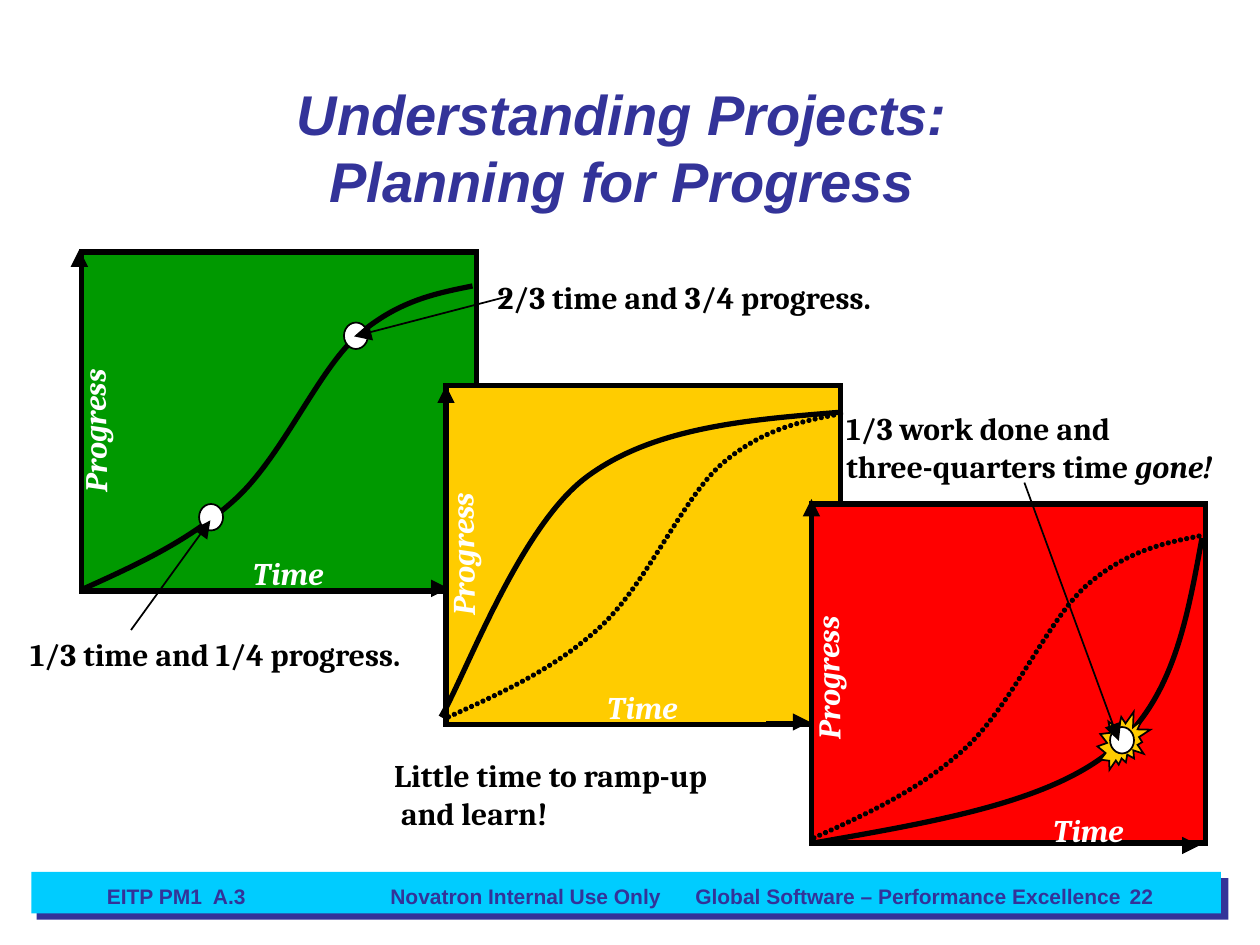
from dataclasses import dataclass

from lxml import etree
from pptx import Presentation
from pptx.dml.color import RGBColor
from pptx.enum.shapes import MSO_CONNECTOR, MSO_SHAPE
from pptx.enum.text import MSO_ANCHOR, MSO_AUTO_SIZE, PP_ALIGN
from pptx.oxml.ns import qn
from pptx.util import Pt

PX = 9144  # EMU per px, 100 px to the inch

BLACK = RGBColor(0x00, 0x00, 0x00)
WHITE = RGBColor(0xFF, 0xFF, 0xFF)
NAVY = RGBColor(0x33, 0x33, 0x99)
CYAN = RGBColor(0x00, 0xCC, 0xFF)
GREEN = RGBColor(0x00, 0x99, 0x00)
YELLOW = RGBColor(0xFF, 0xCC, 0x00)
RED = RGBColor(0xFF, 0x00, 0x00)

NOTE = {"name": "Cambria", "size": Pt(18), "bold": True}
AXIS_LABEL = {**NOTE, "italic": True}
FOOTER = {"name": "Arial", "size": Pt(12), "bold": True}
TITLE = {"name": "Arial", "size": Pt(32), "bold": True, "italic": True}


@dataclass
class Panel:
    fill: RGBColor
    box: tuple
    curve_start: tuple
    up_arrow: tuple     # foot of the vertical arrow
    right_arrow: tuple  # start of the horizontal arrow
    progress: tuple
    time: tuple


PANELS = [
    Panel(GREEN, (65, 200), (67, 467), (63, 242), (321, 467), (8, 314), (191, 435)),
    Panel(YELLOW, (354, 306), (356, 569), (354, 350), (608, 573), (300, 412), (472, 541)),
    Panel(RED, (644, 400), (646, 665), (644, 440), (917, 671), (590, 510), (826, 639)),
]

# Bezier points: a start, then three points per section
S_CURVE = [(0, 0), (42, -19), (84, -38), (120, -71), (157, -105), (185, -172),
           (216, -200), (248, -228), (278, -234), (308, -240)]
EARLY_CURVE = [(669, 327), (594, 333), (518, 339), (465, 379),
               (412, 419), (369, 537), (350, 569)]
LATE_CURVE = [(954, 427), (942, 492), (931, 558), (879, 598),
              (828, 638), (737, 653), (646, 669)]

CALLOUTS = [
    ((385, 216, 339, 40), [[("2/3 time and 3/4 progress.", False)]]),
    ((14, 499, 339, 40), [[("1/3 time and 1/4 progress.", False)]]),
    ((303, 595, 300, 70), [[("Little time to ramp-up", False)], [(" and learn!", False)]]),
    ((662, 320, 347, 70), [[("1/3 work done and", False)],
                           [("three-quarters time", False), (" gone!", True)]]),
]
POINTERS = [((404, 235), (281, 267)), ((104, 500), (167, 413)), ((813, 383), (888, 588))]

FOOTERS = [
    ((300, 696, 326, 30), "Novatron Internal Use Only", PP_ALIGN.LEFT),
    ((542, 696, 364, 30), "Global Software – Performance Excellence", PP_ALIGN.LEFT),
    ((717, 696, 208, 25), "22", PP_ALIGN.RIGHT),
    ((75, 696, 208, 25), "EITP PM1  A.3", PP_ALIGN.LEFT),
]


def emu(values):
    return [round(value * PX) for value in values]


def set_line(shape, width):
    """Give the shape a black line and return its XML element."""
    shape.line.color.rgb = BLACK
    shape.line.width = Pt(width)
    return shape.line._get_or_add_ln()


def add_figure(slide, kind, box, fill, line_width=None):
    shape = slide.shapes.add_shape(kind, *emu(box))
    shape.shadow.inherit = False
    shape.fill.solid()
    shape.fill.fore_color.rgb = fill
    if line_width:
        line = set_line(shape, line_width)
        etree.SubElement(line, qn("a:miter"), lim="800000")
    else:
        shape.line.fill.background()


def add_curve(slide, points, dotted=False):
    start, *rest = [emu(point) for point in points]
    builder = slide.shapes.build_freeform(*start)
    builder.add_line_segments(rest, close=False)
    shape = builder.convert_to_shape()
    shape.shadow.inherit = False
    shape.fill.background()
    # Join every three straight segments into one cubic section
    outline = next(shape._element.iter(qn("a:path")))
    segments = outline.findall(qn("a:lnTo"))
    for first in range(0, len(segments), 3):
        section = etree.SubElement(outline, qn("a:cubicBezTo"))
        for segment in segments[first:first + 3]:
            section.append(segment[0])
            outline.remove(segment)
    line = set_line(shape, 3)
    if dotted:
        line.set("cap", "rnd")
        dashes = etree.SubElement(line, qn("a:custDash"))
        etree.SubElement(dashes, qn("a:ds"), d="100000", sp="20000")


def add_arrow(slide, start, end):
    arrow = slide.shapes.add_connector(MSO_CONNECTOR.STRAIGHT, *emu(start + end))
    line = set_line(arrow, 1)
    etree.SubElement(line, qn("a:tailEnd"), type="triangle", w="lg", len="lg")
    etree.SubElement(arrow._element.spPr, qn("a:effectLst"))


def add_text(slide, box, paragraphs, style, color, align=PP_ALIGN.LEFT, wrap=False):
    """Each paragraph is a list of (text, italic) runs; \\v breaks a line."""
    shape = slide.shapes.add_textbox(*emu(box))
    frame = shape.text_frame
    frame.word_wrap = wrap
    frame.auto_size = MSO_AUTO_SIZE.NONE if wrap else MSO_AUTO_SIZE.SHAPE_TO_FIT_TEXT
    for index, runs in enumerate(paragraphs):
        paragraph = frame.add_paragraph() if index else frame.paragraphs[0]
        paragraph.alignment = align
        for text, italic in runs:
            for number, part in enumerate(text.split("\v")):
                if number:
                    paragraph.add_line_break()
                run = paragraph.add_run()
                run.text = part
                for name, value in {**style, "italic": italic}.items():
                    setattr(run.font, name, value)
                run.font.color.rgb = color
    return shape


def add_title(slide):
    text = "Understanding Projects: \vPlanning for Progress "
    title = add_text(slide, (75, 83, 850, 67), [[(text, True)]], TITLE, NAVY,
                     PP_ALIGN.CENTER, True)
    title.text_frame.vertical_anchor = MSO_ANCHOR.MIDDLE


def add_footer(slide):
    add_figure(slide, MSO_SHAPE.RECTANGLE, (29, 697, 946, 33), NAVY)
    add_figure(slide, MSO_SHAPE.RECTANGLE, (25, 692, 944, 33), CYAN)
    for box, text, align in FOOTERS:
        add_text(slide, box, [[(text, False)]], FOOTER, NAVY, align, True)


def add_panel(slide, panel, dotted):
    add_figure(slide, MSO_SHAPE.RECTANGLE, panel.box + (313, 269), panel.fill, 3)
    left, bottom = panel.curve_start
    add_curve(slide, [(left + x, bottom + y) for x, y in S_CURVE], dotted)


def add_axes(slide, panel):
    x, y = panel.up_arrow
    add_arrow(slide, (x, y), (x, y - 44))
    x, y = panel.right_arrow
    add_arrow(slide, (x, y), (x + 35, y))
    label = add_text(slide, panel.progress + (133, 40), [[("Progress", True)]],
                     AXIS_LABEL, WHITE)
    label.rotation = 269.2
    add_text(slide, panel.time + (83, 40), [[("Time", True)]], AXIS_LABEL, WHITE)


def main():
    presentation = Presentation()
    presentation.slide_width, presentation.slide_height = emu((1000, 750))
    slide = presentation.slides.add_slide(presentation.slide_layouts[6])

    add_footer(slide)
    # Panels and progress curves
    for index, panel in enumerate(PANELS):
        add_panel(slide, panel, dotted=index > 0)
    add_curve(slide, EARLY_CURVE)
    add_curve(slide, LATE_CURVE)
    # Milestones
    add_figure(slide, MSO_SHAPE.EXPLOSION2, (871, 565, 42, 46), YELLOW, 1)
    for position in ((158, 400), (273, 256), (881, 577)):
        add_figure(slide, MSO_SHAPE.FLOWCHART_CONNECTOR, position + (19, 21), WHITE, 1)
    # Callouts
    for box, paragraphs in CALLOUTS:
        add_text(slide, box, paragraphs, NOTE, BLACK)
    for start, end in POINTERS:
        add_arrow(slide, start, end)
    # Axes and heading
    for panel in PANELS:
        add_axes(slide, panel)
    add_title(slide)

    presentation.save("out.pptx")


if __name__ == "__main__":
    main()
